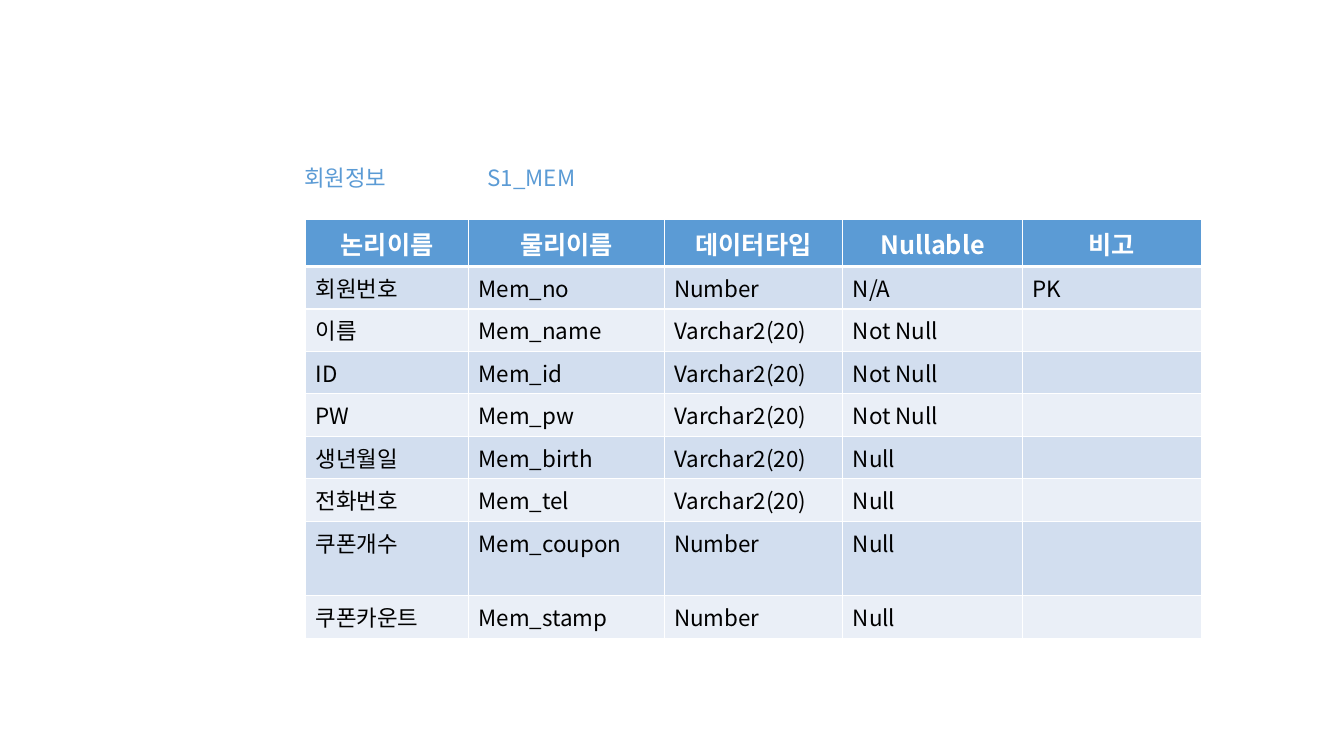
import pptx
import pptx.dml.color
import pptx.enum.text
import pptx.oxml.ns
import pptx.util
import lxml.etree

Cm = pptx.util.Cm
Pt = pptx.util.Pt
ALIGN = pptx.enum.text.PP_ALIGN
qn = pptx.oxml.ns.qn

FONT = "Noto Sans CJK KR"
COLORS = {"blue": "5B9BD5", "odd": "D2DEEF", "even": "EAEFF7",
          "white": "FFFFFF", "black": "000000"}


def write_text(frame, text, size=16, color="black", bold=False, align=ALIGN.LEFT):
    paragraph = frame.paragraphs[0]
    paragraph.alignment = align
    if not text:
        lxml.etree.SubElement(paragraph._p, qn("a:endParaRPr"), sz=str(size * 100))
        return
    run = paragraph.add_run()
    run.text = text
    run.font.size = Pt(size)
    run.font.bold = bold
    run.font.name = FONT
    run.font.color.rgb = pptx.dml.color.RGBColor.from_string(COLORS[color])
    lxml.etree.SubElement(run._r.get_or_add_rPr(), qn("a:ea"), typeface=FONT)


def style_cell(cell, fill, bottom_width):
    properties = cell._tc.get_or_add_tcPr()
    for side, width in (("L", 1), ("R", 1), ("T", 1), ("B", bottom_width)):
        border = lxml.etree.SubElement(properties, qn(f"a:ln{side}"), w=str(Pt(width)))
        solid = lxml.etree.SubElement(border, qn("a:solidFill"))
        lxml.etree.SubElement(solid, qn("a:srgbClr"), val=COLORS["white"])
    cell.fill.solid()
    cell.fill.fore_color.rgb = pptx.dml.color.RGBColor.from_string(COLORS[fill])


presentation = pptx.Presentation()
presentation.slide_width = Cm(33.87)
presentation.slide_height = Cm(19.05)
slide = presentation.slides.add_slide(presentation.slide_layouts[6])

header = ["논리이름", "물리이름", "데이터타입", "Nullable", "비고"]
member_fields = [
    ["회원번호", "Mem_no", "Number", "N/A", "PK"],
    ["이름", "Mem_name", "Varchar2(20)", "Not Null", ""],
    ["ID", "Mem_id", "Varchar2(20)", "Not Null", ""],
    ["PW", "Mem_pw", "Varchar2(20)", "Not Null", ""],
    ["생년월일", "Mem_birth", "Varchar2(20)", "Null", ""],
    ["전화번호", "Mem_tel", "Varchar2(20)", "Null", ""],
    ["쿠폰개수", "Mem_coupon", "Number", "Null", ""],
    ["쿠폰카운트", "Mem_stamp", "Number", "Null", ""],
]
column_widths = [4.11, 4.93, 4.5, 4.52, 4.52]
row_heights = [1.17] + [1.07] * 6 + [1.88, 1.07]

member_table = slide.shapes.add_table(
    len(row_heights), len(column_widths), Cm(7.7), Cm(5.54),
    Cm(sum(column_widths)), Cm(sum(row_heights))).table
for column, width in zip(member_table.columns, column_widths):
    column.width = Cm(width)
for row, height in zip(member_table.rows, row_heights):
    row.height = Cm(height)

for cell, title in zip(member_table.rows[0].cells, header):
    write_text(cell.text_frame, title, size=18, color="white", bold=True, align=ALIGN.CENTER)
    style_cell(cell, "blue", 3)

for number, field in enumerate(member_fields, start=1):
    for cell, value in zip(member_table.rows[number].cells, field):
        write_text(cell.text_frame, value, align=ALIGN.JUSTIFY)
        style_cell(cell, "odd" if number % 2 else "even", 1)

for caption, left, width in (("회원정보", 7.42, 2.69), ("S1_MEM", 12.04, 3.05)):
    caption_box = slide.shapes.add_textbox(Cm(left), Cm(4.01), Cm(width), Cm(0.94))
    caption_box.text_frame.word_wrap = False
    caption_box.text_frame.auto_size = pptx.enum.text.MSO_AUTO_SIZE.SHAPE_TO_FIT_TEXT
    write_text(caption_box.text_frame, caption, color="blue")

presentation.save("out.pptx")
